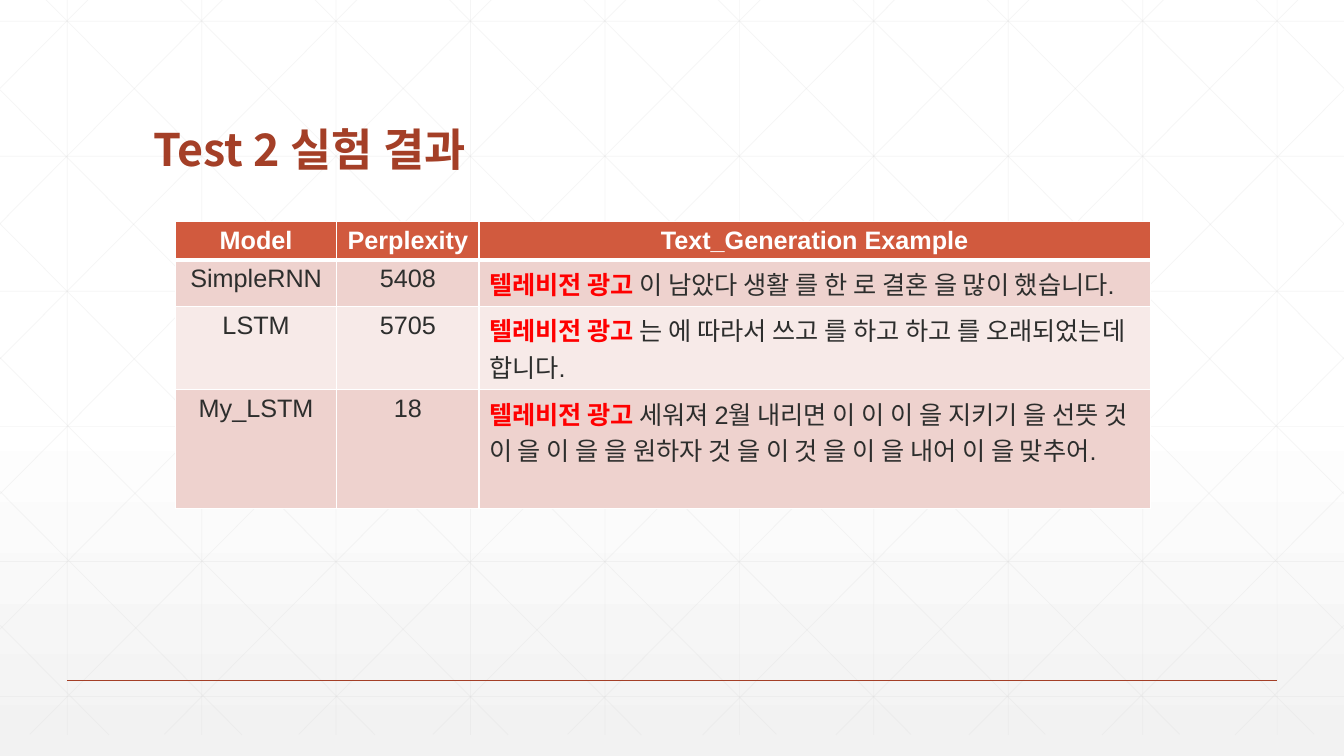
"""Build the Test 2 results slide with a model comparison table."""
from lxml.etree import SubElement
from pptx import Presentation
from pptx.dml.color import RGBColor
from pptx.enum.shapes import MSO_CONNECTOR
from pptx.enum.text import MSO_ANCHOR, PP_ALIGN
from pptx.oxml import parse_xml
from pptx.oxml.ns import nsdecls, qn
from pptx.util import Inches, Pt

TITLE = "Test 2 실험 결과"
HEADERS = ["Model", "Perplexity", "Text_Generation Example"]
PROMPT = "텔레비전 광고"
RESULTS = [
    ("SimpleRNN", "5408", " 이 남았다 생활 를 한 로 결혼 을 많이 했습니다."),
    ("LSTM", "5705", " 는 에 따라서 쓰고 를 하고 하고 를 오래되었는데 합니다."),
    ("My_LSTM", "18", " 세워져 2월 내리면 이 이 이 을 지키기 을 선뜻 것 이 을 이 을 을 "
     "원하자 것 을 이 것 을 이 을 내어 이 을 맞추어."),
]
COLUMN_WIDTHS = [1.6, 1.41, 6.66]
ROW_HEIGHTS = [0.38, 0.45, 0.82, 1.18]
BODY_FILLS = ["EED2CE", "F7EAE8"]
HEADER_FILL, ACCENT, GRID = "D15A3E", "A43F27", "D9D9D9"
WHITE, DARK, RED = "FFFFFF", "2D2E2D", "FF0000"
LATIN_FONT, KOREAN_FONT = "Arial", "Noto Sans CJK KR"
WIDTH, HEIGHT = 13.33, 7.5
GRID_TOP, GRID_BOTTOM, STEP = -0.21, 7.29, 4 / 3
SLOPE, DIAGONAL_RUN = 1.006, 7.45
BACKGROUND = f"""<p:bg {nsdecls('p', 'a')}><p:bgPr><a:gradFill><a:gsLst>
<a:gs pos="0"><a:srgbClr val="FFFFFF"/></a:gs>
<a:gs pos="53000"><a:srgbClr val="FFFFFF"/></a:gs>
<a:gs pos="100000"><a:srgbClr val="F2F2F2"><a:alpha val="65000"/></a:srgbClr></a:gs>
</a:gsLst><a:lin ang="5400000" scaled="0"/></a:gradFill><a:effectLst/></p:bgPr></p:bg>"""


def color(value):
    return RGBColor.from_string(value)


def grid_lines():
    lines = [(x, GRID_TOP, x, GRID_BOTTOM) for x in (STEP / 2 + STEP * i for i in range(10))]
    lines += [(0, y, WIDTH, y) for y in (0.21 + 1.34 * i for i in range(6))]
    diagonals = []
    for i in range(10):
        start = 0.25 + STEP * i
        run = min(DIAGONAL_RUN, WIDTH - start)
        diagonals.append((start, GRID_TOP, start + run, GRID_TOP + run * SLOPE))
    for i in range(5):
        end = 1.08 + 1.32 * i
        diagonals.append((0, GRID_BOTTOM - end * SLOPE, end, GRID_BOTTOM))
    mirrored = [(WIDTH - x1, y1, WIDTH - x2, y2) for x1, y1, x2, y2 in diagonals]
    return lines + diagonals + mirrored


def add_line(slide, points, line_color, width, opacity=100):
    connector = slide.shapes.add_connector(MSO_CONNECTOR.STRAIGHT, *map(Inches, points))
    connector.line.color.rgb = color(line_color)
    connector.line.width = Pt(width)
    properties = connector._element.spPr
    if opacity < 100:
        fill = next(properties.iter(qn("a:srgbClr")))
        SubElement(fill, qn("a:alpha"), val=str(opacity * 1000))
    SubElement(properties, qn("a:effectLst"))


def format_run(run, size, font_color, bold, font=LATIN_FONT):
    run.font.size = Pt(size)
    run.font.name = font
    run.font.bold = bold
    run.font.color.rgb = color(font_color)
    SubElement(run._r.get_or_add_rPr(), qn("a:ea"), typeface=KOREAN_FONT)


def set_borders(cell, bottom_width):
    properties = cell._tc.get_or_add_tcPr()
    for index, (side, width) in enumerate(zip("LRTB", (1, 1, 1, bottom_width))):
        properties.insert(index, parse_xml(
            f'<a:ln{side} {nsdecls("a")} w="{Pt(width)}"><a:solidFill>'
            f'<a:srgbClr val="{WHITE}"/></a:solidFill></a:ln{side}>'))


def fill_cell(cell, parts, fill, alignment):
    paragraph = cell.text_frame.paragraphs[0]
    paragraph.alignment = alignment
    for text, font_color, bold in parts:
        run = paragraph.add_run()
        run.text = text
        format_run(run, 18, font_color, bold)
    cell.fill.solid()
    cell.fill.fore_color.rgb = color(fill)


def add_title(slide):
    title = slide.shapes.title
    title.left, title.top, title.width, title.height = map(Inches, (1.42, 0.55, 10.5, 1.25))
    title.text_frame.text = TITLE
    title.text_frame.vertical_anchor = MSO_ANCHOR.BOTTOM
    paragraph = title.text_frame.paragraphs[0]
    paragraph.alignment = PP_ALIGN.LEFT
    paragraph.line_spacing = 0.9
    format_run(paragraph.runs[0], 32, ACCENT, True, KOREAN_FONT)
    slide.shapes._spTree.append(title._element)


def add_results(slide):
    frame = slide.shapes.add_table(
        len(ROW_HEIGHTS), len(COLUMN_WIDTHS), Inches(1.74), Inches(2.2),
        Inches(sum(COLUMN_WIDTHS)), Inches(sum(ROW_HEIGHTS)))
    table = frame.table
    for column, width in zip(table.columns, COLUMN_WIDTHS):
        column.width = Inches(width)
    for row, height in zip(table.rows, ROW_HEIGHTS):
        row.height = Inches(height)
    for index, header in enumerate(HEADERS):
        cell = table.cell(0, index)
        fill_cell(cell, [(header, WHITE, True)], HEADER_FILL, PP_ALIGN.CENTER)
        set_borders(cell, 3)
    for number, (model, perplexity, example) in enumerate(RESULTS, 1):
        fill = BODY_FILLS[(number - 1) % 2]
        contents = [
            ([(model, DARK, False)], PP_ALIGN.CENTER),
            ([(perplexity, DARK, False)], PP_ALIGN.CENTER),
            ([(PROMPT, RED, True), (example, DARK, False)], PP_ALIGN.LEFT),
        ]
        for index, (parts, alignment) in enumerate(contents):
            cell = table.cell(number, index)
            fill_cell(cell, parts, fill, alignment)
            set_borders(cell, 1)
            if number == 1:
                cell._tc.tcPr.find(qn("a:lnT")).set("w", str(Pt(3)))


def main():
    presentation = Presentation()
    presentation.slide_width, presentation.slide_height = Inches(WIDTH), Inches(HEIGHT)
    slide = presentation.slides.add_slide(presentation.slide_layouts[5])
    slide._element.cSld.insert(0, parse_xml(BACKGROUND))
    for points in grid_lines():
        add_line(slide, points, GRID, 0.5, 25)
    add_line(slide, (STEP / 2, 6.75, WIDTH - STEP / 2, 6.75), ACCENT, 1)
    add_title(slide)
    add_results(slide)
    presentation.save("out.pptx")


if __name__ == "__main__":
    main()
